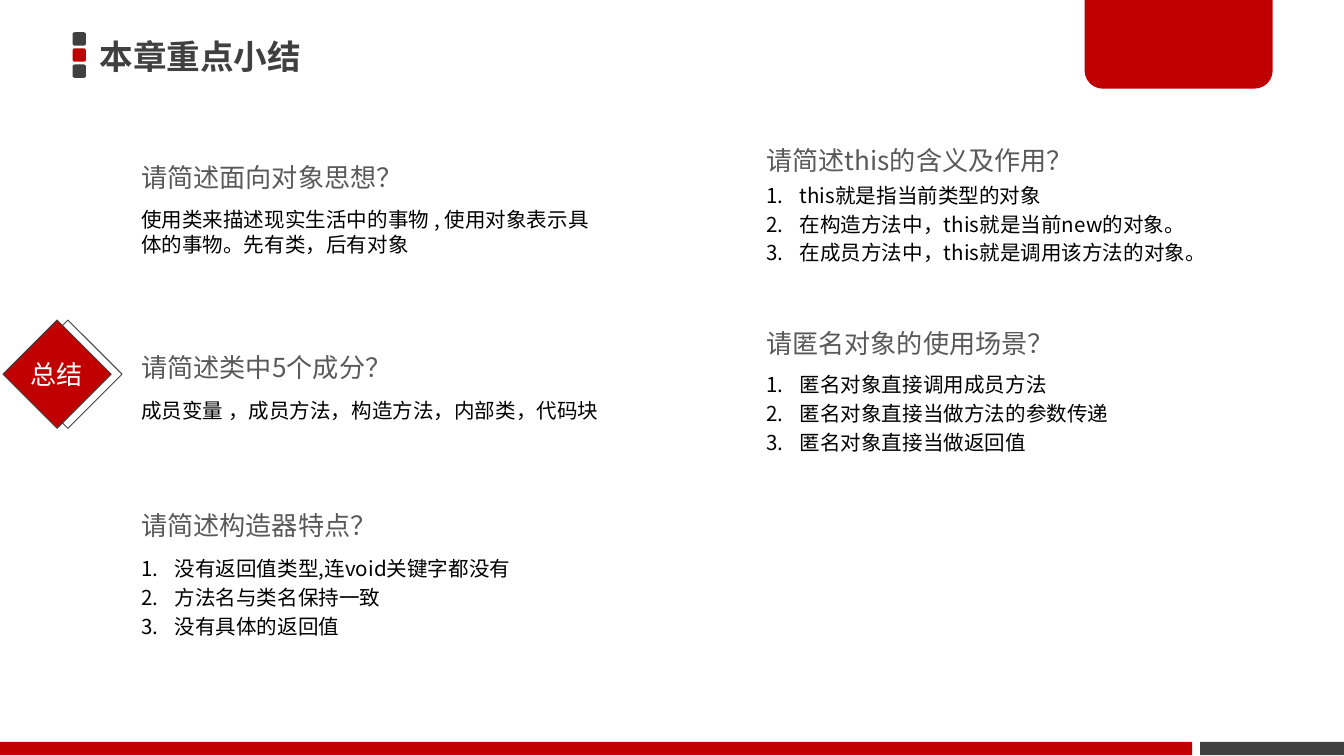
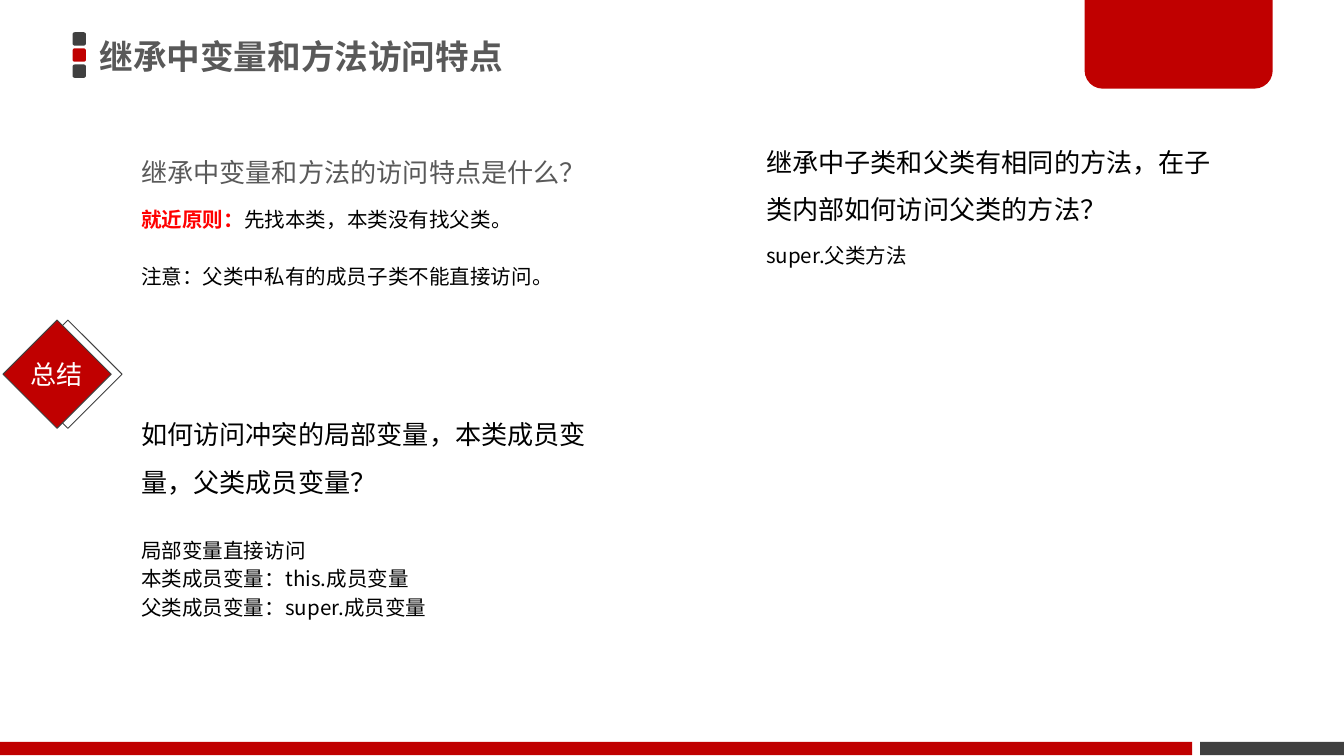
from pptx import Presentation
from pptx.dml.color import RGBColor
from pptx.enum.shapes import MSO_SHAPE
from pptx.enum.text import MSO_ANCHOR, MSO_AUTO_SIZE, PP_ALIGN
from pptx.oxml.ns import qn
from pptx.util import Inches, Pt
from lxml.etree import SubElement

COLORS = {
    "red": "C00000", "dark": "404040", "gray": "595959",
    "black": "000000", "white": "FFFFFF", "alert": "FF0000",
}
JP, SC = "Noto Sans CJK JP", "Noto Sans CJK SC"
LEFT, RIGHT, WIDE = 0.98, 5.63, 3.55

STYLES = {
    "title": {"size": 18, "name": JP, "color": "dark", "bold": True},
    "title_gray": {"size": 18, "name": SC, "color": "gray", "bold": True},
    "ask": {"size": 14, "name": SC, "color": "gray", "bold": False},
    "ask_black": {"size": 14, "name": JP, "color": "black", "bold": False},
    "body": {"size": 11, "name": JP, "color": "black", "bold": False},
    "key": {"size": 11, "name": JP, "color": "alert", "bold": True},
    "badge": {"size": 14, "name": JP, "color": "white", "bold": False},
}
FRAME = {
    "word_wrap": True, "auto_size": MSO_AUTO_SIZE.NONE,
    "margin_left": Inches(0.07), "margin_right": Inches(0.07),
    "margin_top": Inches(0.04), "margin_bottom": Inches(0.04),
}


def rgb(color):
    return RGBColor.from_string(COLORS[color])


def apply(target, values):
    for key, value in values.items():
        setattr(target, key, value)


def add_block(slide, kind, box, fill=None, line=None, turn=0):
    shape = slide.shapes.add_shape(kind, *map(Inches, box))
    shape.shadow.inherit = False
    shape.rotation = turn
    if fill:
        shape.fill.solid()
        shape.fill.fore_color.rgb = rgb(fill)
    else:
        shape.fill.background()
    if line:
        shape.line.color.rgb = rgb(line)
        shape.line.width = Pt(0.5)
    else:
        shape.line.fill.background()
    return shape


def add_run(para, text, style):
    run = para.add_run()
    run.text = text
    look = dict(STYLES[style])
    run.font.color.rgb = rgb(look.pop("color"))
    look["size"] = Pt(look["size"])
    apply(run.font, look)
    SubElement(run.font._element, qn("a:ea"), typeface=look["name"])


def add_text(slide, box, paras, style, listed=False, **extra):
    """Write paras, each a string or a list of (text, style) runs."""
    frame = slide.shapes.add_textbox(*map(Inches, box)).text_frame
    apply(frame, FRAME)
    for i, item in enumerate(paras):
        para = frame.paragraphs[0] if i == 0 else frame.add_paragraph()
        apply(para, {"space_before": Pt(STYLES[style]["size"] * 0.2), **extra})
        if listed:
            props = para._p.get_or_add_pPr()
            props.set("marL", str(Inches(0.25)))
            props.set("indent", str(Inches(-0.25)))
            SubElement(props, qn("a:buFont"), typeface="+mj-lt")
            SubElement(props, qn("a:buAutoNum"), type="arabicPeriod")
        for text, look in [(item, style)] if isinstance(item, str) else item:
            add_run(para, text, look)
    return frame


def set_title(slide, text, style, box):
    title = slide.shapes.title
    apply(title, dict(zip(("left", "top", "width", "height"), map(Inches, box))))
    frame = title.text_frame
    apply(frame, {**FRAME, "vertical_anchor": MSO_ANCHOR.MIDDLE})
    para = frame.paragraphs[0]
    para.alignment = PP_ALIGN.LEFT
    add_run(para, text, style)


def add_marks(slide, x, y):
    for i, color in enumerate(("dark", "red", "dark")):
        box = (x, y + i * 0.12, 0.1, 0.1)
        add_block(slide, MSO_SHAPE.ROUNDED_RECTANGLE, box, color)


def add_bands(slide):
    add_block(slide, MSO_SHAPE.RECTANGLE, (0, 5.52, 8.87, 0.1), "red")
    add_block(slide, MSO_SHAPE.RECTANGLE, (8.93, 5.52, 1.07, 0.1), "dark")
    tab = add_block(slide, MSO_SHAPE.ROUND_2_SAME_RECTANGLE,
                    (8.07, -0.02, 1.4, 0.68), "red")
    tab.adjustments[0], tab.adjustments[1] = 0, 0.2


def add_badge(slide, x, y):
    side = 0.57
    for step, fill in ((0.2, None), (0.12, "red")):
        add_block(slide, MSO_SHAPE.RECTANGLE, (x + step, y, side, side),
                  fill, "dark", 45)
    frame = add_text(slide, (x, y + 0.15, 0.8, 0.3), ["总结"], "badge",
                     alignment=PP_ALIGN.CENTER, line_spacing=0.9)
    frame.vertical_anchor = MSO_ANCHOR.MIDDLE


def start_slide(deck, text, style, box):
    slide = deck.slides.add_slide(deck.slide_layouts[5])
    add_marks(slide, 0.54, 0.24)
    add_bands(slide)
    add_badge(slide, 0.02, 2.5)
    set_title(slide, text, style, box)
    return slide


def add_ask(slide, x, y, text, tall=0.58, style="ask", gap=2.0):
    add_text(slide, (x, y, WIDE, tall), [text], style, line_spacing=gap)


def add_reply(slide, x, y, tall, paras, listed=False, wide=WIDE):
    return add_text(slide, (x, y, wide, tall), paras, "body", listed)


def build_recap(deck):
    slide = start_slide(deck, "本章重点小结", "title", (0.67, 0.21, 5.69, 0.42))
    add_ask(slide, LEFT, 0.93, "请简述面向对象思想？")
    add_reply(slide, LEFT, 1.5, 0.58, [
        "使用类来描述现实生活中的事物 , 使用对象表示具体的事物。先有类，后有对象"],
        wide=3.52)
    add_ask(slide, RIGHT, 0.8, "请简述this的含义及作用？")
    add_reply(slide, RIGHT, 1.32, 0.71, [
        "this就是指当前类型的对象",
        "在构造方法中，this就是当前new的对象。",
        "在成员方法中，this就是调用该方法的对象。"], True)
    add_ask(slide, LEFT, 2.34, "请简述类中5个成分？")
    add_reply(slide, LEFT, 2.92, 0.58, [
        "成员变量 ，成员方法，构造方法，内部类，代码块"], wide=3.72)
    add_ask(slide, RIGHT, 2.16, "请匿名对象的使用场景？")
    add_reply(slide, RIGHT, 2.73, 0.71, [
        "匿名对象直接调用成员方法",
        "匿名对象直接当做方法的参数传递",
        "匿名对象直接当做返回值"], True)
    add_ask(slide, LEFT, 3.52, "请简述构造器特点？")
    add_reply(slide, LEFT, 4.1, 0.76, [
        "没有返回值类型,连void关键字都没有",
        "方法名与类名保持一致",
        "没有具体的返回值"], True)


def build_access(deck):
    slide = start_slide(deck, "继承中变量和方法访问特点", "title_gray",
                        (0.67, 0.21, 6.05, 0.41))
    add_ask(slide, LEFT, 0.89, "继承中变量和方法的访问特点是什么？")
    rule = add_reply(slide, LEFT, 1.5, 0.84, [
        [("就近原则：", "key"), ("先找本类，本类没有找父类。", "body")],
        "注意：父类中私有的成员子类不能直接访问。"])
    rule.paragraphs[1].space_before = Pt(17.5)
    add_ask(slide, RIGHT, 0.93, "继承中子类和父类有相同的方法，在子类内部如何访问父类的方法？",
            0.84, "ask_black", 1.5)
    add_reply(slide, RIGHT, 1.77, 0.5, ["super.父类方法"])
    add_ask(slide, LEFT, 2.96, "如何访问冲突的局部变量，本类成员变量，父类成员变量？",
            0.95, "ask_black", 1.5)
    add_reply(slide, LEFT, 3.96, 0.74, [
        "局部变量直接访问",
        "本类成员变量：this.成员变量",
        "父类成员变量：super.成员变量"])


def main():
    deck = Presentation()
    deck.slide_width = Inches(10)
    deck.slide_height = deck.slide_width * 9 // 16
    build_recap(deck)
    build_access(deck)
    deck.save("out.pptx")


if __name__ == "__main__":
    main()
